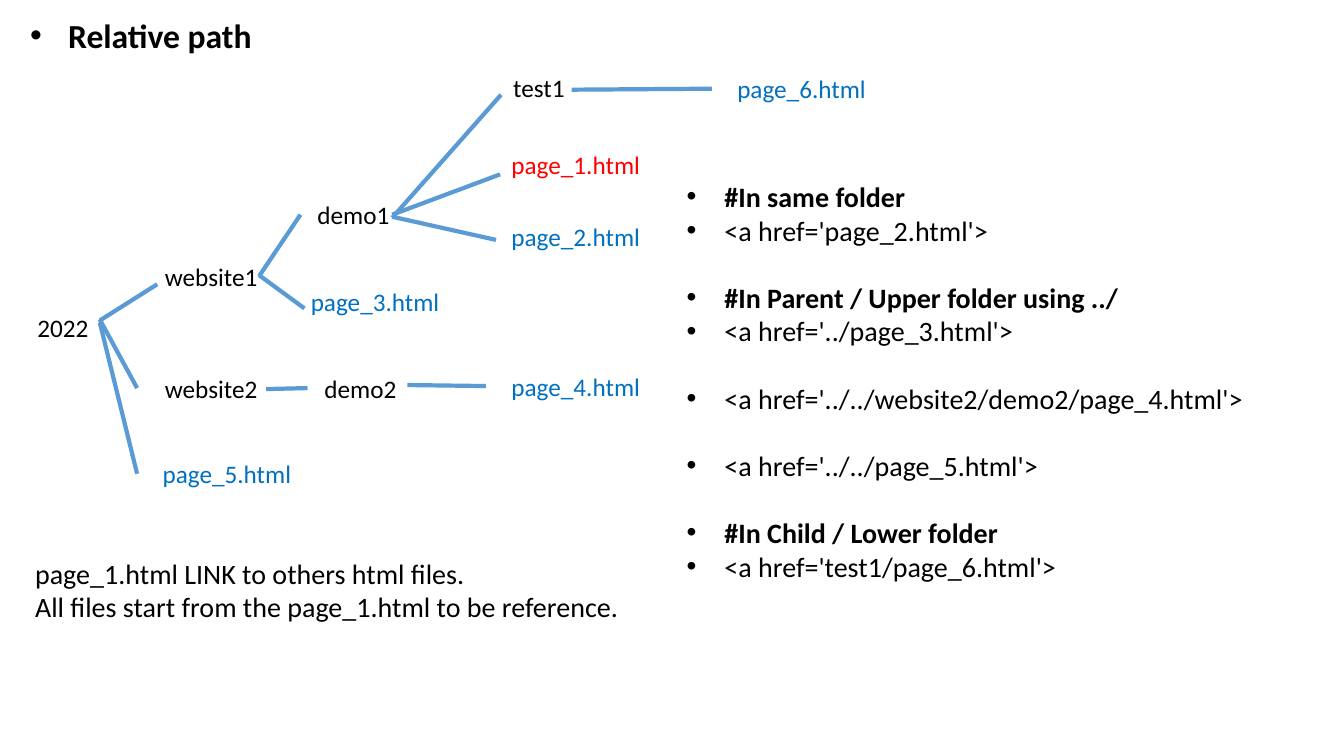
from lxml.etree import SubElement
from pptx import Presentation
from pptx.dml.color import RGBColor
from pptx.enum.shapes import MSO_CONNECTOR as Conn
from pptx.enum.text import MSO_ANCHOR as Anchor, MSO_AUTO_SIZE as Auto, PP_ALIGN as Align
from pptx.oxml.ns import qn
from pptx.util import Emu, Pt

PX = 9144  # 100 px to the inch
FONT = "Calibri"
BLACK, BLUE, RED, LINE = "000000", "0070C0", "FF0000", "5B9BD5"

TITLE = "Relative path"
SMALL, WIDE, FILE, LABEL_H = 105, 147, 178, 52

# name: (left, top, width, colour)
LABELS = {
    "2022": (10, 299, SMALL, BLACK),
    "website1": (136, 248, WIDE, BLACK),
    "website2": (136, 359, WIDE, BLACK),
    "demo1": (298, 187, SMALL, BLACK),
    "page_3.html": (283, 273, FILE, BLUE),
    "page_1.html": (482, 137, FILE, RED),
    "page_2.html": (482, 209, FILE, BLUE),
    "test1": (482, 61, SMALL, BLACK),
    "page_6.html": (706, 62, FILE, BLUE),
    "demo2": (305, 359, SMALL, BLACK),
    "page_4.html": (482, 357, FILE, BLUE),
    "page_5.html": (136, 444, FILE, BLUE),
}

# start point, then an end point or the label whose left side is joined
BRANCHES = [
    ((99, 318), (156, 282)),
    ((99, 317), "website2"),
    ((99, 320), "page_5.html"),
    ((257, 274), "demo1"),
    ((257, 273), (302, 306)),
    ((264, 386), "demo2"),
    ((389, 216), (497, 94)),
    ((389, 213), (496, 173)),
    ((389, 215), (492, 238)),
    ((404, 382), "page_4.html"),
    ((567, 89), "page_6.html"),
]

NOTE = [
    "page_1.html LINK to others html files.",
    "All files start from the page_1.html to be reference.",
]

# groups of (text, bold), one line apart
LINKS = [
    [("#In same folder", True), ("<a href='page_2.html'>", False)],
    [("#In Parent / Upper folder using ../", True), ("<a href='../page_3.html'>", False)],
    [("<a href='../../website2/demo2/page_4.html'>", False)],
    [("<a href='../../page_5.html'>", False)],
    [("#In Child / Lower folder", True), ("<a href='test1/page_6.html'>", False)],
]


def px(n):
    return Emu(n * PX)


def rgb(hex_colour):
    return RGBColor.from_string(hex_colour)


def place(sp, left, top, width, height, anchor=Anchor.TOP):
    sp.left, sp.top, sp.width, sp.height = map(px, (left, top, width, height))
    tf = sp.text_frame
    tf.word_wrap = True
    tf.auto_size = Auto.NONE
    tf.vertical_anchor = anchor
    return tf


def write(tf, first, text, size, colour=BLACK, bold=False, align=Align.LEFT,
          bullet=False, gap=0):
    p = tf.paragraphs[0] if first else tf.add_paragraph()
    p.alignment = align
    p.space_before = Pt(gap)
    if bullet:
        pPr = p._p.get_or_add_pPr()
        pPr.set("marL", "342900")
        pPr.set("indent", "-342900")
        SubElement(pPr, qn("a:buFont"), typeface="Arial")
        SubElement(pPr, qn("a:buChar"), char="•")
    r = p.add_run()
    r.text = text
    r.font.name, r.font.size, r.font.bold = FONT, Pt(size), bold
    r.font.color.rgb = rgb(colour)


prs = Presentation()
prs.slide_width, prs.slide_height = px(1333), px(750)
s = prs.slides.add_slide(prs.slide_layouts[1])

# Title
tf = place(s.shapes.title, 20, 10, 1264, 50)
write(tf, True, TITLE, 24, bold=True, bullet=True)

# Folder and file labels
boxes = {}
for name, (left, top, width, colour) in LABELS.items():
    sp = boxes[name] = s.shapes.add_textbox(0, 0, 0, 0)
    tf = place(sp, left, top, width, LABEL_H, Anchor.MIDDLE)
    write(tf, True, name, 18, colour, align=Align.CENTER)

# Branches of the tree
for start, end in BRANCHES:
    x, y = start if isinstance(end, str) else end
    c = s.shapes.add_connector(Conn.STRAIGHT, *map(px, (*start, x, y)))
    if isinstance(end, str):
        c.end_connect(boxes[end], 1)
    c.line.color.rgb = rgb(LINE)
    c.line.width = Pt(3)
    SubElement(c._element.spPr, qn("a:effectLst"))

# Note below the tree
tf = place(s.shapes.add_textbox(0, 0, 0, 0), 25, 547, 663, 77)
for i, line in enumerate(NOTE):
    write(tf, i == 0, line, 20)

# Link examples
tf = place(s.placeholders[1], 671, 173, 644, 414)
for g, group in enumerate(LINKS):
    for i, (text, bold) in enumerate(group):
        write(tf, g == i == 0, text, 20, bold=bold, bullet=True,
              gap=24 if g and i == 0 else 0)

prs.save("out.pptx")
